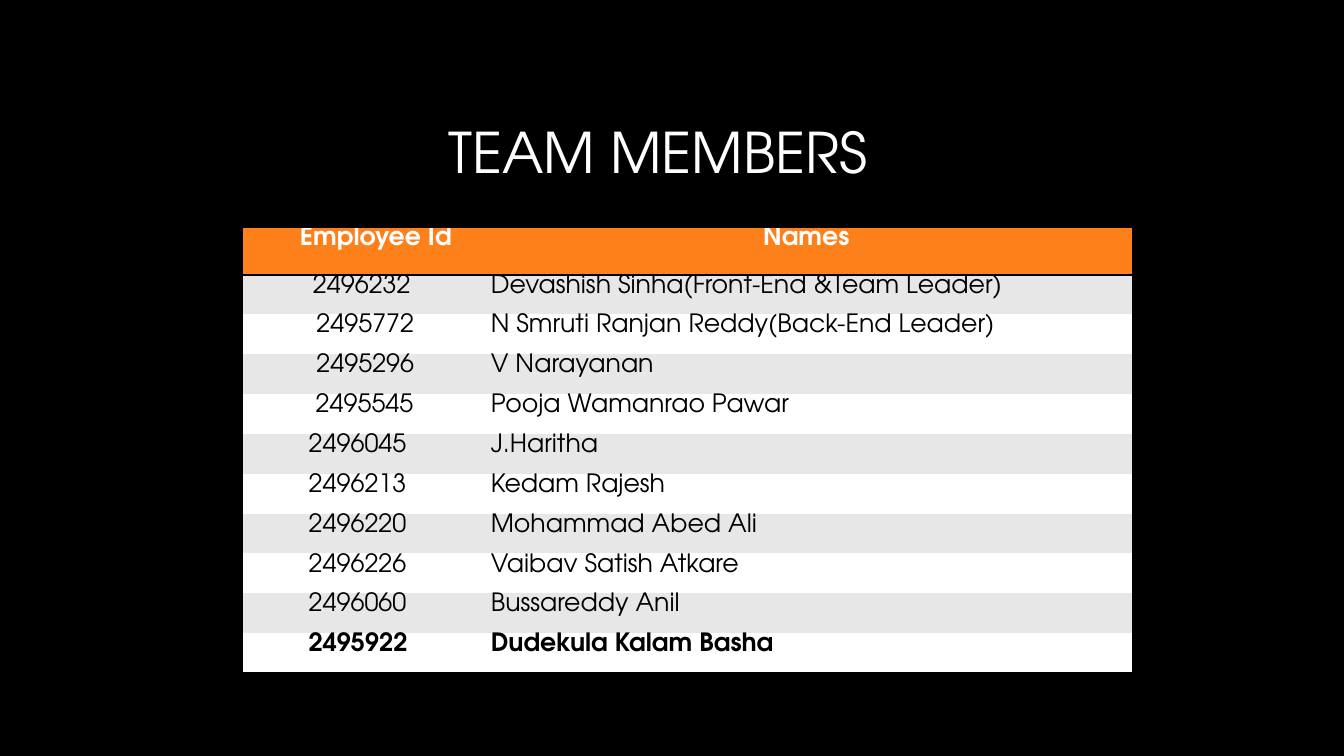
from dataclasses import dataclass

from lxml.etree import SubElement
from pptx import Presentation
from pptx.dml.color import RGBColor
from pptx.enum.text import MSO_ANCHOR, PP_ALIGN
from pptx.oxml.ns import qn
from pptx.util import Pt


@dataclass(frozen=True)
class Theme:
    font: str = "TeX Gyre Adventor"
    title_size: int = 40
    table_size: int = 18
    black: str = "000000"
    white: str = "FFFFFF"
    orange: str = "FE801A"
    gray: str = "E7E7E7"


theme = Theme()
MARGIN = 7.2
NO_GRID_STYLE = "{2D5ABB26-0587-4C30-8999-92F81FD0307C}"


def write_text(frame, text, *, size, color, bold=False, align=PP_ALIGN.LEFT, spacing=1.0):
    paragraph = frame.paragraphs[0]
    paragraph.alignment = align
    paragraph.line_spacing = spacing
    run = paragraph.add_run()
    run.text = text
    run.font.name = theme.font
    run.font.size = Pt(size)
    run.font.bold = bold
    run.font.color.rgb = RGBColor.from_string(color)


def add_borders(cell, sides):
    """Draw 2 pt black lines on the given sides; call before filling the cell."""
    properties = cell._tc.get_or_add_tcPr()
    for side in sides:
        line = SubElement(properties, qn(f"a:ln{side}"), w=str(Pt(2)))
        fill = SubElement(line, qn("a:solidFill"))
        SubElement(fill, qn("a:srgbClr"), val=theme.black)


presentation = Presentation()
presentation.slide_width = Pt(960)
presentation.slide_height = Pt(540)
slide = presentation.slides.add_slide(presentation.slide_layouts[5])
slide.background.fill.solid()
slide.background.fill.fore_color.rgb = RGBColor.from_string(theme.black)

title = slide.shapes.title
title.left, title.top, title.width, title.height = Pt(54), Pt(60.5), Pt(831.6), Pt(101.5)
title.text_frame.vertical_anchor = MSO_ANCHOR.MIDDLE
write_text(title.text_frame, "TEAM MEMBERS", size=theme.title_size, color=theme.white,
           align=PP_ALIGN.CENTER, spacing=0.9)

# Employee id, name, alignment of the id, left margin of the id
CENTER, LEFT = PP_ALIGN.CENTER, PP_ALIGN.LEFT
members = [
    ("Employee Id", "Names", CENTER, 27.2),
    ("2496232", "Devashish Sinha(Front-End &Team Leader)", CENTER, MARGIN),
    ("2495772", "N Smruti Ranjan Reddy(Back-End Leader)", CENTER, 12.2),
    ("2495296", "V Narayanan", CENTER, 12.2),
    ("2495545", "Pooja Wamanrao Pawar", LEFT, 52),
    ("2496045", "J.Haritha", LEFT, 47),
    ("2496213", "Kedam Rajesh", LEFT, 47),
    ("2496220", "Mohammad Abed Ali", LEFT, 47),
    ("2496226", "Vaibav Satish Atkare", LEFT, 47),
    ("2496060", "Bussareddy Anil", LEFT, 47),
    ("2495922", "Dudekula Kalam Basha", LEFT, 47),
]
last = len(members) - 1
row_heights = [34.3, 28.1] + [28.5] * (last - 1)
column_widths = [169.9, 465.1]

table_frame = slide.shapes.add_table(len(members), 2, Pt(173.5), Pt(162),
                                     Pt(sum(column_widths)), Pt(sum(row_heights)))
table = table_frame.table
table._tbl.tblPr.find(qn("a:tableStyleId")).text = NO_GRID_STYLE
for column, width in zip(table.columns, column_widths):
    column.width = Pt(width)

for index, (employee_id, name, id_align, id_margin) in enumerate(members):
    table.rows[index].height = Pt(row_heights[index])
    is_header = index == 0
    row_fill = theme.orange if is_header else (theme.gray if index % 2 else theme.white)
    borders = "TB" if is_header else ("B" if index == last else "")
    name_align = CENTER if is_header else LEFT
    columns = [(employee_id, id_align, id_margin), (name, name_align, MARGIN)]
    for cell, (text, align, margin) in zip(table.rows[index].cells, columns):
        cell.margin_left, cell.margin_right = Pt(margin), Pt(MARGIN)
        cell.margin_top = cell.margin_bottom = Pt(0)
        cell.vertical_anchor = MSO_ANCHOR.TOP
        add_borders(cell, borders)
        cell.fill.solid()
        cell.fill.fore_color.rgb = RGBColor.from_string(row_fill)
        write_text(cell.text_frame, text, size=theme.table_size, align=align,
                   color=theme.white if is_header else theme.black,
                   bold=index in (0, last))

presentation.save("out.pptx")
